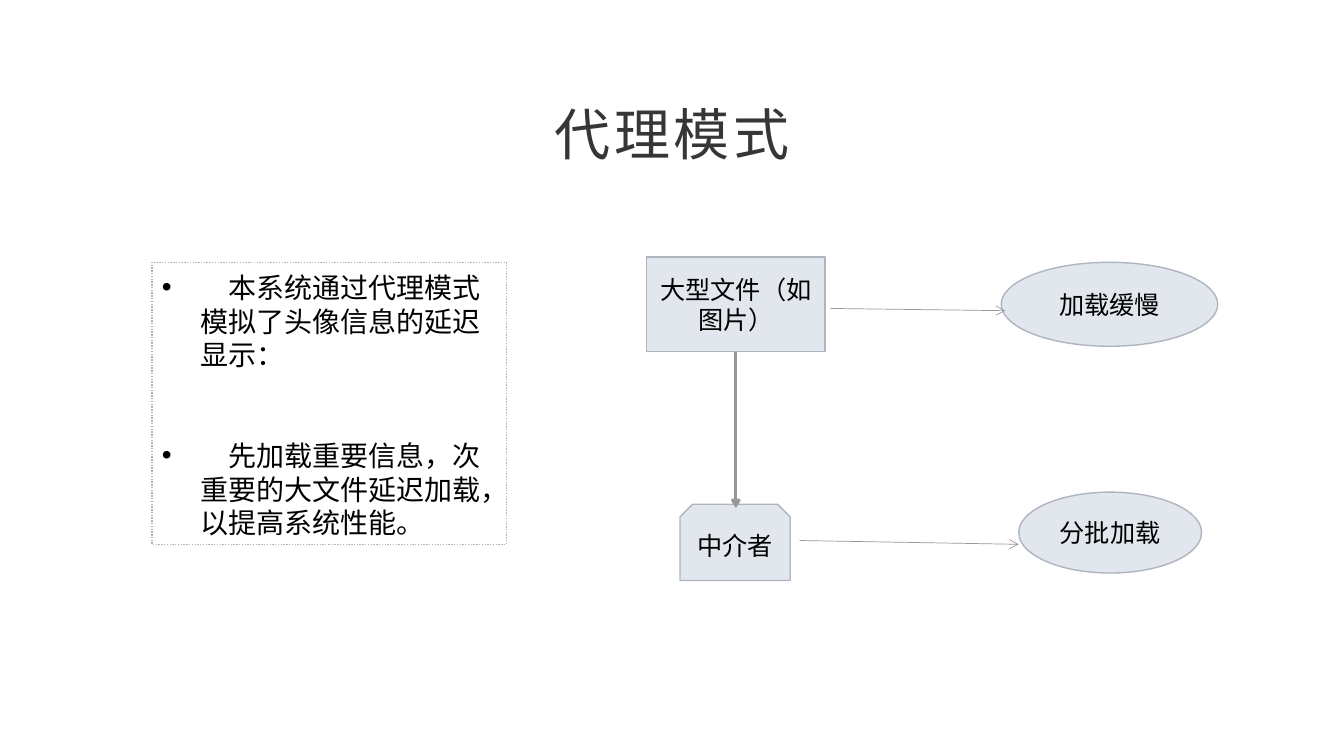
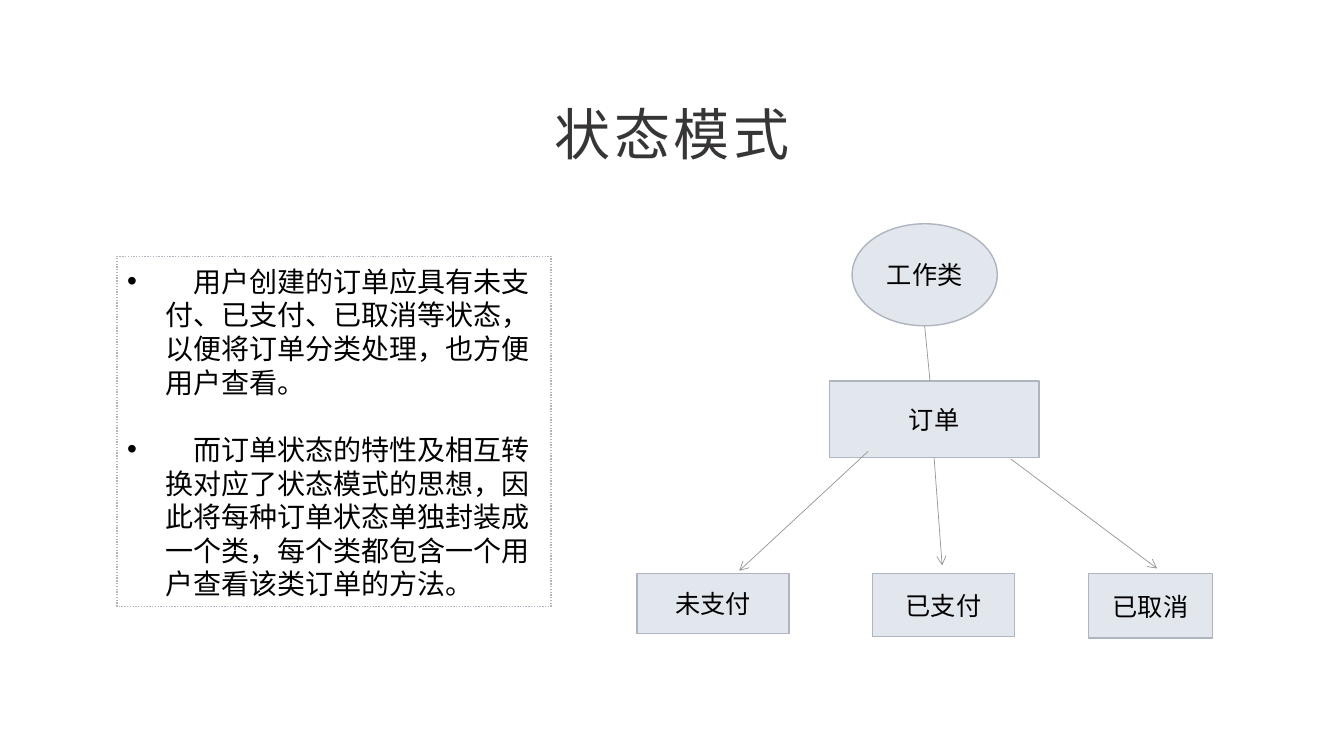
from lxml.etree import SubElement
from pptx import Presentation
from pptx.dml.color import RGBColor
from pptx.enum.dml import MSO_LINE
from pptx.enum.shapes import MSO_CONNECTOR, MSO_SHAPE
from pptx.enum.text import MSO_ANCHOR, MSO_AUTO_SIZE, PP_ALIGN
from pptx.oxml.ns import qn
from pptx.util import Inches, Pt

WIDTH, HEIGHT = Inches(13.33), Inches(7.5)
COL, ROW = WIDTH / 100, HEIGHT / 100
FONT = "Noto Sans CJK SC"
INK, TITLE, FILL, EDGE, ARROW = "000000", "373536", "E2E6ED", "AEB5C0", "979797"
TITLE_BOX = (34.9, 12.5, 30.2, 10.3)
HANGING = Inches(0.38)


def color(hex_string):
    return RGBColor.from_string(hex_string)


def grid(x, y, origin=(0, 0)):
    """Turn columns and rows, counted from origin, into a point on the slide."""
    return round((origin[0] + x) * COL), round((origin[1] + y) * ROW)


def write(p, text, size=18, ink=INK, latin=FONT, align=PP_ALIGN.CENTER,
          leading=None, spacing=None, after=0):
    p.alignment = align
    p.space_before, p.space_after = Pt(0), Pt(after)
    if leading:
        p.line_spacing = Pt(leading)
    r = p.add_run()
    r.text = text
    r.font.size, r.font.name = Pt(size), latin
    r.font.color.rgb = color(ink)
    rPr = r.font._element
    SubElement(rPr, qn("a:ea")).set("typeface", FONT)
    if spacing:
        rPr.set("spc", str(round(spacing * 100)))


def outline(sp, dash=None):
    sp.line.color.rgb = color(EDGE)
    sp.line.width = Pt(1)
    if dash:
        sp.line.dash_style = dash


def place(sp, box, anchor):
    """Move a placeholder to a box of the grid and return its text frame."""
    x, y, w, h = box
    sp.left, sp.top = grid(x, y)
    sp.width, sp.height = grid(w, h)
    tf = sp.text_frame
    tf.word_wrap, tf.auto_size = True, MSO_AUTO_SIZE.NONE
    tf.vertical_anchor = anchor
    return tf


def bullets(sp, box, items, gap, latin):
    outline(sp, MSO_LINE.ROUND_DOT)
    tf = place(sp, box, MSO_ANCHOR.TOP)
    tf.margin_top = Inches(0.08)
    for i, item in enumerate(items):
        p = tf.add_paragraph() if i else tf.paragraphs[0]
        write(p, "　" + item, size=20, latin=latin, align=PP_ALIGN.LEFT,
              leading=24, after=gap)
        pPr = p._p.get_or_add_pPr()
        pPr.set("marL", str(HANGING))
        pPr.set("indent", str(-HANGING))


def node(s, origin, kind, box, text, **fmt):
    x, y, w, h = box
    sp = s.shapes.add_shape(kind, *grid(x, y, origin), *grid(w, h))
    sp.shadow.inherit = False
    sp.fill.solid()
    sp.fill.fore_color.rgb = color(FILL)
    outline(sp)
    tf = sp.text_frame
    tf.word_wrap, tf.vertical_anchor = True, MSO_ANCHOR.MIDDLE
    write(tf.paragraphs[0], text, **fmt)
    return sp


def link(s, origin, start, end, width=0.5, head=True):
    """Draw a line between two points; a shape as start means its bottom middle."""
    joined = not isinstance(start, tuple)
    begin = (start.left, start.top) if joined else grid(*start, origin)
    c = s.shapes.add_connector(MSO_CONNECTOR.STRAIGHT, *begin, *grid(*end, origin))
    if joined:
        c.begin_connect(start, 2)
    c.line.color.rgb = color(ARROW)
    c.line.width = Pt(width)
    if head:
        SubElement(c.line._get_or_add_ln(), qn("a:tailEnd")).set("type", "arrow")
    SubElement(c._element.spPr, qn("a:effectLst"))


def proxy_diagram(s, origin):
    source = node(s, origin, MSO_SHAPE.RECTANGLE, (0, 0, 13.3, 12.5),
                  "大型文件（如图片）", leading=21.5)
    node(s, origin, MSO_SHAPE.OVAL, (26.4, 0.7, 16.1, 11.1), "加载缓慢")
    node(s, origin, MSO_SHAPE.SNIP_2_SAME_RECTANGLE, (2.5, 32.7, 8.2, 10.1), "中介者")
    node(s, origin, MSO_SHAPE.OVAL, (27.7, 31.1, 13.6, 10.7), "分批加载")
    link(s, origin, (13.7, 6.8), (26.7, 7.1))
    link(s, origin, (11.4, 37.5), (27.7, 38))
    link(s, origin, source, (6.65, 33.2), width=2)


def state_diagram(s, origin):
    order = node(s, origin, MSO_SHAPE.RECTANGLE, (14.3, 20.8, 15.6, 10.1), "订单")
    states = [
        ("未支付", (0, 46.3, 11.3, 7.9), (17.2, 30.1), (7.6, 45.9)),
        ("已支付", (17.5, 46.3, 10.6, 8.3), order, (22.7, 45.2)),
        ("已取消", (33.6, 46.3, 9.2, 8.5), (27.8, 31.1), (38.7, 45.6)),
    ]
    for text, box, start, end in states:
        node(s, origin, MSO_SHAPE.RECTANGLE, box, text)
        link(s, origin, start, end)
    node(s, origin, MSO_SHAPE.OVAL, (16, 0, 10.8, 13.5), "工作类")
    link(s, origin, (21.4, 13.5), (21.8, 20.8), head=False)


def pattern_slide(prs, title, items, box, gap, diagram, origin, latin=FONT):
    s = prs.slides.add_slide(prs.slide_layouts[1])
    tf = place(s.shapes.title, TITLE_BOX, MSO_ANCHOR.MIDDLE)
    write(tf.paragraphs[0], title, size=40, ink=TITLE, spacing=2.7)
    bullets(s.placeholders[1], box, items, gap, latin)
    diagram(s, origin)


def main():
    prs = Presentation()
    prs.slide_width, prs.slide_height = WIDTH, HEIGHT
    pattern_slide(
        prs, "代理模式",
        ["本系统通过代理模式模拟了头像信息的延迟显示：",
         "先加载重要信息，次重要的大文件延迟加载，以提高系统性能。"],
        (11.3, 34.7, 26.4, 37.3), 48, proxy_diagram, (48.1, 34), latin="Cambria")
    pattern_slide(
        prs, "状态模式",
        ["用户创建的订单应具有未支付、已支付、已取消等状态，以便将订单分类处理，也方便用户查看。",
         "而订单状态的特性及相互转换对应了状态模式的思想，因此将每种订单状态单独封装成一个类，"
         "每个类都包含一个用户查看该类订单的方法。"],
        (8.7, 33.9, 32.3, 46.3), 24, state_diagram, (47.4, 29.6))
    prs.save("out.pptx")


if __name__ == "__main__":
    main()
